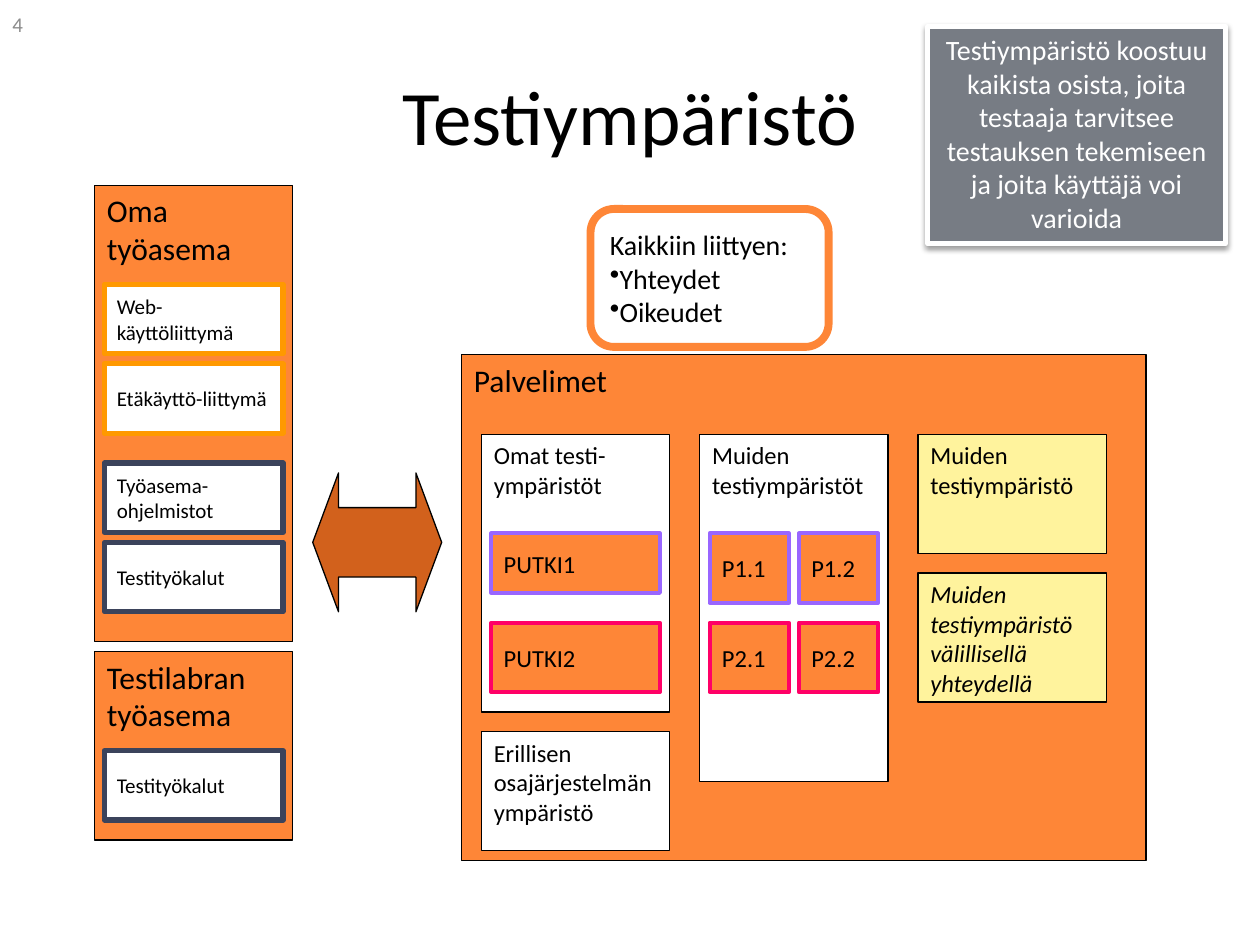
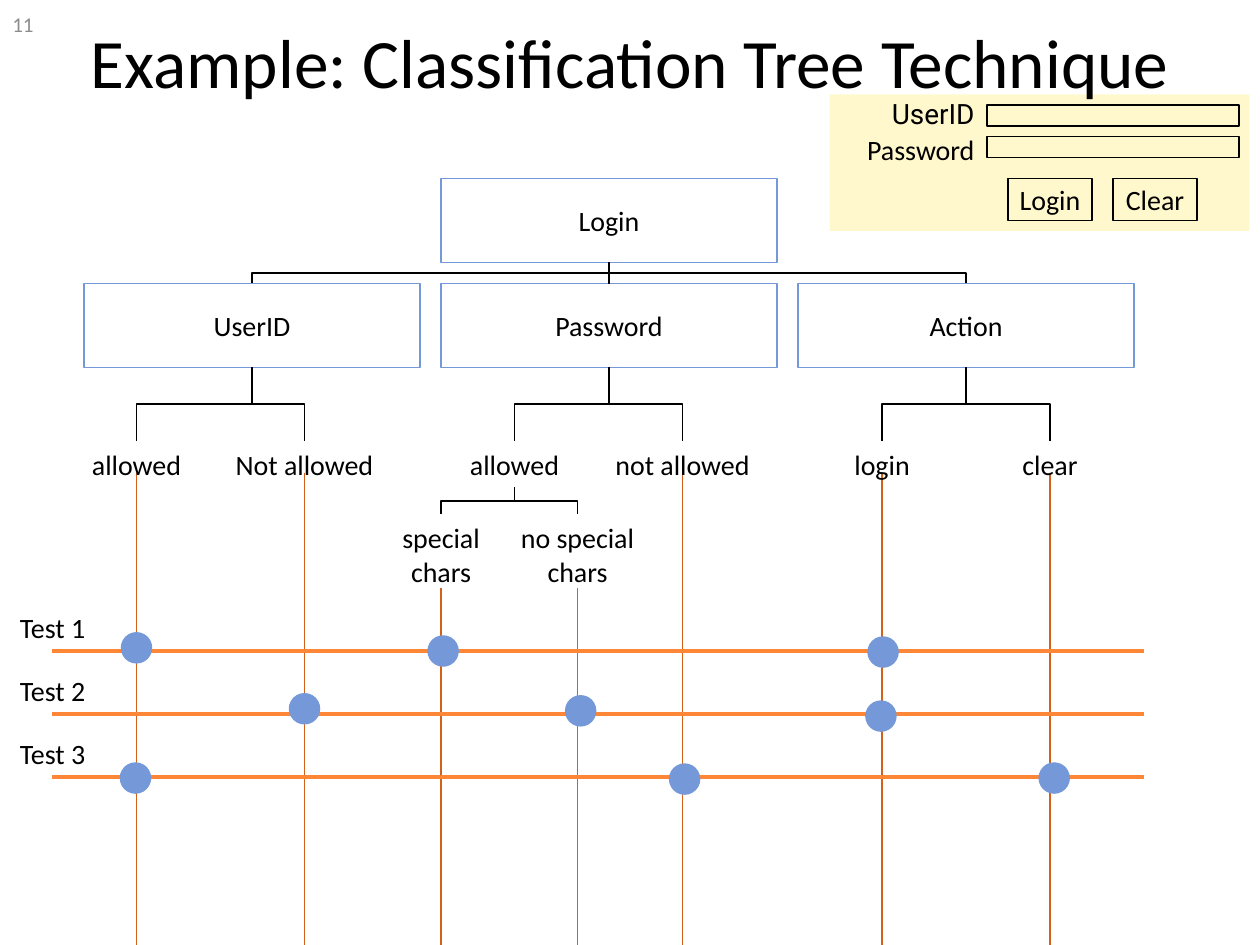
"""Builds two slides: a test environment map and a classification tree."""
from lxml.etree import SubElement
from pptx import Presentation
from pptx.dml.color import RGBColor
from pptx.enum.shapes import MSO_CONNECTOR, MSO_SHAPE
from pptx.enum.text import MSO_ANCHOR, MSO_AUTO_SIZE, PP_ALIGN
from pptx.oxml.ns import qn
from pptx.util import Inches, Mm, Pt

RECT, ROUNDED = MSO_SHAPE.RECTANGLE, MSO_SHAPE.ROUNDED_RECTANGLE
OVAL, DOUBLE_ARROW = MSO_SHAPE.OVAL, MSO_SHAPE.LEFT_RIGHT_ARROW
STRAIGHT, ELBOW = MSO_CONNECTOR.STRAIGHT, MSO_CONNECTOR.ELBOW
TOP, MIDDLE = MSO_ANCHOR.TOP, MSO_ANCHOR.MIDDLE
LEFT, CENTER, RIGHT = PP_ALIGN.LEFT, PP_ALIGN.CENTER, PP_ALIGN.RIGHT
NO_FIT = MSO_AUTO_SIZE.NONE
TITLE_ONLY = 5

BLACK, WHITE, GREY, SLATE = "000000", "FFFFFF", "8C8C8C", "777C84"
ORANGE, RUST, AMBER, YELLOW = "FE8637", "D2611C", "FF9900", "FFF39D"
NAVY, BLUE, VIOLET, PINK = "3B435B", "7598D9", "9966FF", "FF0066"


def colour(hex_code):
    """Turn a hex string into a colour."""
    return RGBColor.from_string(hex_code)


class Deck:
    """Holds the shared style, the current slide and its grid."""

    font = "Calibri"

    def __init__(self):
        """Start an empty 4:3 presentation."""
        self.prs = Presentation()
        self.prs.slide_width, self.prs.slide_height = Inches(10), Inches(7.5)

    def start(self, number, unit, left=0, top=0):
        """Add a slide whose grid has the given unit and origin."""
        self.slide = self.prs.slides.add_slide(self.prs.slide_layouts[TITLE_ONLY])
        self.shapes = self.slide.shapes
        self.unit, self.left, self.top = unit, left, top
        label = self.shapes.add_textbox(*self.share(0, 0, 0.23, 0.05))
        self.set_text(label, str(number), 12, GREY, anchor=MIDDLE)

    def share(self, x, y, width, height):
        """Convert shares of the slide to lengths."""
        across, down = self.prs.slide_width, self.prs.slide_height
        return int(x * across), int(y * down), int(width * across), int(height * down)

    def point(self, column, row):
        """Convert a grid position to a slide position."""
        return int(self.left + column * self.unit), int(self.top + row * self.unit)

    def area(self, column, row, columns, rows):
        """Convert a grid area to slide lengths."""
        return *self.point(column, row), int(columns * self.unit), int(rows * self.unit)

    def set_text(self, shape, text, size, ink=BLACK, align=LEFT, anchor=TOP,
                 wrap=True, italic=False, bullets=False, font=font):
        """Set and format the text of a shape; bullets start on the second line."""
        frame = shape.text_frame
        frame.text = text
        frame.word_wrap, frame.auto_size, frame.vertical_anchor = wrap, NO_FIT, anchor
        for position, paragraph in enumerate(frame.paragraphs):
            if bullets and position:
                bullet = SubElement(paragraph._p.get_or_add_pPr(), qn("a:buChar"))
                bullet.set("char", "•")
            paragraph.alignment = align
            for run in paragraph.runs:
                run.font.name, run.font.size, run.font.italic = font, Pt(size), italic
                run.font.color.rgb = colour(ink)

    def title(self, text, size, top, anchor):
        """Fill and place the title placeholder."""
        heading = self.shapes.title
        heading.left, heading.top, heading.width, heading.height = self.share(
            0.05, top, 0.9, 0.17)
        self.set_text(heading, text, size, align=CENTER, anchor=anchor)
        heading.text_frame.margin_top = 0

    def box(self, area, fill=None, line=None, width=0.75, kind=RECT, text="",
            size=14, **style):
        """Draw a preset shape, with text if given."""
        shape = self.shapes.add_shape(kind, *self.area(*area))
        shape.shadow.inherit = False
        if fill:
            shape.fill.solid()
            shape.fill.fore_color.rgb = colour(fill)
        else:
            shape.fill.background()
        if line:
            shape.line.color.rgb = colour(line)
            shape.line.width = Pt(width)
        else:
            shape.line.fill.background()
        if text:
            self.set_text(shape, text, size, **style)
        return shape

    def label(self, area, text, size=16, **style):
        """Draw a text box."""
        self.set_text(self.shapes.add_textbox(*self.area(*area)), text, size, **style)

    def line(self, start, end, ink=BLACK, width=1, kind=STRAIGHT):
        """Draw a connector between two grid positions."""
        connector = self.shapes.add_connector(kind, *self.point(*start), *self.point(*end))
        connector.line.color.rgb = colour(ink)
        connector.line.width = Pt(width)
        SubElement(connector._element.spPr, qn("a:effectLst"))
        return connector

    def branch(self, parent, child):
        """Draw an elbow that leaves the parent downwards."""
        (x1, y1), (x2, y2) = parent, child
        if x1 == x2:
            self.line(parent, child)
            return
        x, y = (x1 + x2) / 2, (y1 + y2) / 2
        side = 1 if x2 > x1 else -1
        reach, half = side * (y2 - y1) / 2, abs(x2 - x1) / 2
        elbow = self.line((x + reach, y - half), (x - reach, y + half), kind=ELBOW)
        elbow.rotation = 270 if side > 0 else 90

    def fade(self, shape, percent):
        """Make the fill of a shape partly transparent."""
        ink = shape._element.spPr.find(qn("a:solidFill"))[0]
        SubElement(ink, qn("a:alpha")).set("val", str(percent * 1000))

    def drop_shadow(self, shape):
        """Give a shape a soft shadow below it."""
        effects = shape._element.spPr.find(qn("a:effectLst"))
        shadow = SubElement(effects, qn("a:outerShdw"), blurRad=str(Pt(3.1)),
                            dist=str(Pt(1.6)), dir="5400000", rotWithShape="0")
        ink = SubElement(shadow, qn("a:srgbClr"), val=BLACK)
        SubElement(ink, qn("a:alpha"), val="38000")


def environment_slide(deck):
    """Map the workstations and servers of the test environment."""
    deck.start(4, Mm(2), Inches(0.75), Inches(1.47))
    deck.title("Testiympäristö", 44, 0.04, MIDDLE)
    summary = deck.box((84, -16, 30, 21.9), SLATE, WHITE, 3, size=16, ink=WHITE, align=CENTER,
                       text="Testiympäristö koostuu kaikista osista, joita testaaja "
                            "tarvitsee testauksen tekemiseen ja joita käyttäjä voi varioida")
    deck.drop_shadow(summary)

    for area, name in [((0, 0, 20, 46), "Oma työasema"),
                       ((0, 47, 20, 19), "Testilabran työasema"),
                       ((37, 17.1, 69, 51), "Palvelimet")]:
        deck.box(area, ORANGE, BLACK, text=name, size=18)

    for row, edge, tool in [(10, AMBER, "Web-käyttöliittymä"),
                            (18, AMBER, "Etäkäyttö-liittymä"),
                            (28, NAVY, "Työasema-ohjelmistot"),
                            (36, NAVY, "Testityökalut"),
                            (57, NAVY, "Testityökalut")]:
        deck.box((1, row, 18, 7), WHITE, edge, 3, text=tool, size=12, anchor=MIDDLE)

    arrow = deck.box((22, 29, 13, 14), RUST, BLACK, kind=DOUBLE_ARROW)
    arrow.adjustments[0], arrow.adjustments[1] = 0.5, 0.2

    for column, row, rows, fill, italic, environment in [
            (39, 25.1, 28, WHITE, False, "Omat testi-ympäristöt"),
            (39, 55.1, 12, WHITE, False, "Erillisen osajärjestelmän ympäristö"),
            (61, 25.1, 35, WHITE, False, "Muiden testiympäristöt"),
            (83, 25.1, 12, YELLOW, False, "Muiden testiympäristö"),
            (83, 39.1, 13, YELLOW, True, "Muiden testiympäristö välillisellä yhteydellä")]:
        deck.box((column, row, 19, rows), fill, BLACK, text=environment, italic=italic)

    for row, edge, pipe_rows, names in [(35.1, VIOLET, 6, ("PUTKI1", "P1.1", "P1.2")),
                                        (44.1, PINK, 7, ("PUTKI2", "P2.1", "P2.2"))]:
        places = [(40, 17, pipe_rows), (62, 8, 7), (71, 8, 7)]
        for (column, columns, rows), name in zip(places, names):
            deck.box((column, row, columns, rows), ORANGE, edge, 2.25, text=name,
                     anchor=MIDDLE, wrap=False)

    common = deck.box((50, 2.4, 24, 13.9), WHITE, ORANGE, 4.5, ROUNDED, size=16,
                      text="Kaikkiin liittyen:\nYhteydet\nOikeudet",
                      anchor=MIDDLE, wrap=False, bullets=True)
    common.adjustments[0] = 0.17


def login_form(deck):
    """Draw the login form under test."""
    panel = deck.box((79, 9, 40, 13), YELLOW)
    deck.fade(panel, 50)
    deck.shapes.title._element.addprevious(panel._element)
    for row, label_row, field, font in [(10, 8.6, "UserID", "Roboto"),
                                        (13, 12, "Password", deck.font)]:
        deck.box((94, row, 24, 2), line=BLACK, width=1)
        deck.label((68, label_row, 26, 4.4), field, align=RIGHT, font=font)
    for column, button in [(96, "Login"), (106, "Clear")]:
        deck.box((column, 17, 8, 4), line=BLACK, width=1, text=button, size=16,
                 align=CENTER, anchor=MIDDLE, wrap=False)


def tree_slide(deck):
    """Draw the classification tree with the test cases below it."""
    deck.start(11, Inches(1 / 12))
    deck.title("Example: Classification Tree Technique", 39.6, 0.02, TOP)
    login_form(deck)

    root, leaf_row, special_row, bottom = 58, 42, 49, 90
    classes = [("UserID", 24, [("allowed", 13), ("Not allowed", 29)]),
               ("Password", root, [("allowed", 49), ("not allowed", 65)]),
               ("Action", 92, [("login", 84), ("clear", 100)])]
    specials = [("special chars", 42), ("no special chars", 55)]
    split = 49
    nodes = [("Login", root, 17)] + [(name, centre, 27) for name, centre, _ in classes]
    for name, centre, row in nodes:
        deck.box((centre - 16, row, 32, 8), line=BLUE, width=1, text=name, size=16,
                 align=CENTER, anchor=MIDDLE, wrap=False)

    leaves = []
    for _, centre, values in classes:
        deck.branch((root, 25), (centre, 27))
        leaves += values
        for _, column in values:
            deck.branch((centre, 35), (column, leaf_row))
            if column != split:
                deck.line((column, 45), (column, bottom), RUST)
    for name, column in specials:
        deck.branch((split, 46.4), (column, special_row))
        deck.line((column, 56), (column, bottom), RUST)
        deck.label((column - 8, special_row, 16, 7.7), name, align=CENTER)

    tests = [[(13, 61.7), (42.2, 62), (84.1, 62.1)],
             [(29, 67.5), (55.3, 67.7), (83.9, 68.2)],
             [(12.9, 74.1), (65.2, 74.2), (100.4, 74.1)]]
    for number, choices in enumerate(tests, 1):
        row = 56 + 6 * number
        deck.line((5, row), (109, row), ORANGE, 2.25)
        deck.label((-2, row - 4.4, 14, 4.4), f"Test {number}", align=CENTER)
        for column, height in choices:
            deck.box((column - 1.5, height - 1.5, 3, 3), BLUE, kind=OVAL)
    for name, column in leaves:
        deck.label((column - 8, leaf_row, 16, 4.4), name, align=CENTER)


def main():
    """Build both slides and save them."""
    deck = Deck()
    environment_slide(deck)
    tree_slide(deck)
    deck.prs.save("out.pptx")


if __name__ == "__main__":
    main()
